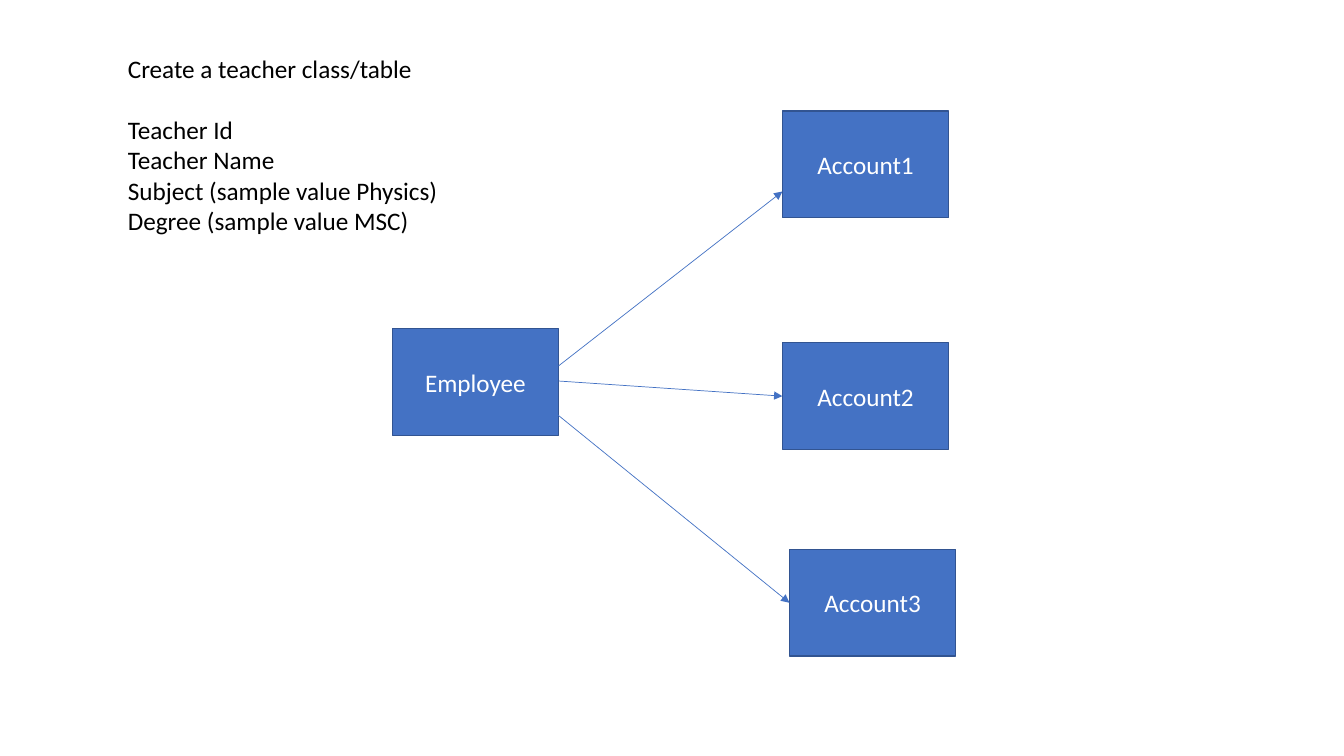
"""Build a slide linking an employee to three accounts, with a teacher table task."""
import pptx
import pptx.util
import pptx.dml.color
import pptx.enum.dml
import pptx.enum.shapes
import pptx.enum.text
import pptx.oxml
import pptx.oxml.ns
import lxml.etree

PX = 9144
BLACK = pptx.dml.color.RGBColor(0x00, 0x00, 0x00)
WHITE = pptx.dml.color.RGBColor(0xFF, 0xFF, 0xFF)
BLUE = pptx.dml.color.RGBColor(0x44, 0x72, 0xC4)
NAVY = pptx.dml.color.RGBColor(0x32, 0x54, 0x91)
FONT = {"name": "Calibri", "size": pptx.util.Pt(18)}


def scale(*nums):
    return [num * PX for num in nums]


def write(par, text, color):
    run = par.add_run()
    run.text = text
    for key, val in FONT.items():
        setattr(run.font, key, val)
    run.font.color.rgb = color


deck = pptx.Presentation()
deck.slide_width, deck.slide_height = scale(1333, 750)
slide = deck.slides.add_slide(deck.slide_layouts[6])

note = slide.shapes.add_textbox(*scale(117, 48, 1094, 192)).text_frame
note.word_wrap = True
note.auto_size = pptx.enum.text.MSO_AUTO_SIZE.SHAPE_TO_FIT_TEXT
write(note.paragraphs[0], "Create a teacher class/table", BLACK)
fields = [
    "Teacher Id",
    "Teacher Name",
    "Subject (sample value Physics)",
    "Degree (sample value MSC)",
]
for field in fields:
    write(note.add_paragraph(), field, BLACK)
note.paragraphs[1].space_before = pptx.util.Pt(22)

boxes = [
    ("Employee", 389, 326),
    ("Account1", 776, 110),
    ("Account2", 776, 340),
    ("Account3", 783, 545),
]
for label, left, top in boxes:
    box = slide.shapes.add_shape(
        pptx.enum.shapes.MSO_SHAPE.RECTANGLE, *scale(left, top, 165, 106))
    box.shadow.inherit = False
    box.fill.solid()
    box.fill.fore_color.rgb = BLUE
    box.line.color.rgb = NAVY
    box.line.width = pptx.util.Pt(1)
    box.text_frame.vertical_anchor = pptx.enum.text.MSO_ANCHOR.MIDDLE
    par = box.text_frame.paragraphs[0]
    par.alignment = pptx.enum.text.PP_ALIGN.CENTER
    write(par, label, WHITE)

arrows = [
    (554, 363, 776, 190),
    (554, 378, 776, 393),
    (550, 409, 783, 598),
]
for ends in arrows:
    arrow = slide.shapes.add_connector(
        pptx.enum.shapes.MSO_CONNECTOR.STRAIGHT, *scale(*ends))
    arrow.line.color.rgb = BLUE
    arrow.line.width = pptx.util.Pt(0.5)
    lxml.etree.SubElement(
        arrow.line._get_or_add_ln(), pptx.oxml.ns.qn("a:tailEnd"), type="triangle")
    lxml.etree.SubElement(
        arrow._element.spPr, pptx.oxml.ns.qn("a:effectLst"))

deck.save("out.pptx")
